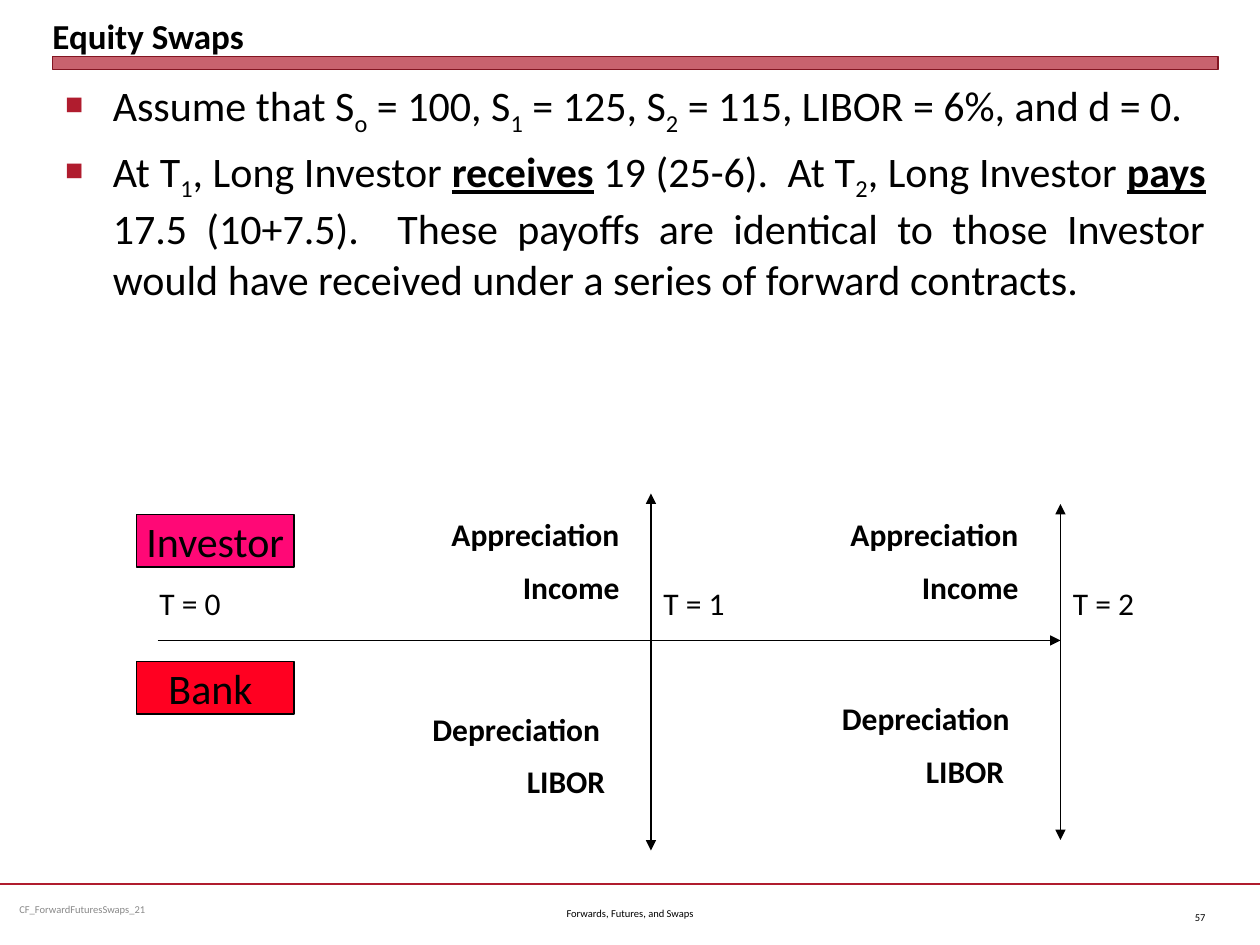
from lxml.etree import SubElement
from pptx import Presentation
from pptx.dml.color import RGBColor
from pptx.enum.shapes import MSO_CONNECTOR, MSO_SHAPE
from pptx.enum.text import MSO_ANCHOR as Anchor, PP_ALIGN as Align
from pptx.oxml.ns import qn
from pptx.util import Inches, Pt

BLACK = RGBColor(0x00, 0x00, 0x00)
GREY = RGBColor(0x89, 0x89, 0x89)
CRIMSON = RGBColor(0xB0, 0x1C, 0x2E)
DARK_CRIMSON = RGBColor(0x82, 0x15, 0x22)
RED = RGBColor(0xFF, 0x00, 0x21)
PINK = RGBColor(0xFF, 0x08, 0x76)

COLUMNS, ROWS = 120, 90
CELL = Inches(10) // COLUMNS
MARGIN, CONTENT_WIDTH = 5, 111
LABEL_HEIGHT = 4.8
DEFAULT_INSETS = (0.1, 0.05, 0.1, 0.05)
NO_INSETS = (0, 0, 0, 0)

SUB, STRONG = "subscript", "strong"
BULLETS = [
    [("Assume that S", None), ("o", SUB), (" = 100, S", None), ("1", SUB),
     (" = 125, S", None), ("2", SUB),
     (" = 115, LIBOR = 6%, and d = 0.", None)],
    [("At T", None), ("1", SUB), (", Long Investor ", None),
     ("receives", STRONG), (" 19 (25-6).  At T", None), ("2", SUB),
     (", Long Investor ", None), ("pays", STRONG),
     (" 17.5 (10+7.5).  These payoffs are identical to those Investor would "
      "have received under a series of forward contracts.", None)],
]
PARTIES = [("Investor", 49, PINK), ("Bank ", 63, RED)]
GAINS = ["Appreciation", "Income"]
AXIS_START, AXIS_ROW = 15, 61
PERIODS = [
    {"column": 62, "top": 47, "bottom": 81, "gains": 40,
     "losses": [("Depreciation", 40, 67, 23), ("LIBOR", 49, 72, 13)]},
    {"column": 101, "top": 48, "bottom": 80, "gains": 78,
     "losses": [("Depreciation", 79, 66, 24), ("LIBOR", 87, 71, 13)]},
]
TIMES = [("T = 0", 14)] + [
    (f"T = {number}", period["column"])
    for number, period in enumerate(PERIODS, 1)]


def grid(*cells):
    return [round(cell * CELL) for cell in cells]


def add_bullet(paragraph):
    props = paragraph._p.get_or_add_pPr()
    props.set("marL", str(Inches(0.38)))
    props.set("indent", str(-Inches(0.38)))
    tint = SubElement(props, qn("a:buClr"))
    SubElement(tint, qn("a:srgbClr")).set("val", str(CRIMSON))
    SubElement(props, qn("a:buSzPct")).set("val", "60000")
    SubElement(props, qn("a:buChar")).set("char", "■")


def write(holder, paragraphs, size=18, color=BLACK, bold=False, align=Align.LEFT,
          anchor=Anchor.TOP, insets=DEFAULT_INSETS, gap=0, bullet=False, wrap=True):
    frame = holder.text_frame
    frame.word_wrap = wrap
    frame.vertical_anchor = anchor
    (frame.margin_left, frame.margin_top,
     frame.margin_right, frame.margin_bottom) = map(Inches, insets)
    for index, content in enumerate(paragraphs):
        paragraph = frame.add_paragraph() if index else frame.paragraphs[0]
        if bullet:
            add_bullet(paragraph)
        paragraph.alignment = align
        if index:
            paragraph.space_before = Pt(gap)
        pieces = [(content, None)] if isinstance(content, str) else content
        for words, style in pieces:
            run = paragraph.add_run()
            run.text = words
            font = run.font
            font.name, font.size = "Calibri", Pt(size)
            font.color.rgb = color
            font.bold = bold or style == STRONG
            if style == STRONG:
                font.underline = True
            if style == SUB:
                font._element.set("baseline", "-25000")


def add_label(slide, place, paragraphs, **style):
    write(slide.shapes.add_textbox(*grid(*place)), paragraphs, **style)


def add_box(slide, place, fill, line, weight):
    box = slide.shapes.add_shape(MSO_SHAPE.RECTANGLE, *grid(*place))
    box.shadow.inherit = False
    box.fill.solid()
    box.fill.fore_color.rgb = fill
    box.line.color.rgb = line
    box.line.width = Pt(weight)
    return box


def add_line(slide, ends, color=BLACK, weight=0.75, arrow=True):
    line = slide.shapes.add_connector(MSO_CONNECTOR.STRAIGHT, *grid(*ends))
    line.line.color.rgb = color
    line.line.width = Pt(weight)
    if arrow:
        SubElement(line.line._get_or_add_ln(), qn("a:tailEnd")).set("type", "triangle")
    SubElement(line._element.spPr, qn("a:effectLst"))


def add_frame(slide):
    add_line(slide, (0, 84.2, COLUMNS, 84.2), CRIMSON, 1.25, arrow=False)
    rule = add_box(slide, (MARGIN, 5.4, CONTENT_WIDTH, 1.2), CRIMSON, DARK_CRIMSON, 0)
    tint = rule._element.spPr.find(qn("a:solidFill"))[0]
    SubElement(tint, qn("a:alpha")).set("val", "69000")
    add_label(slide, (1, 84.2, 31, LABEL_HEIGHT), ["CF_ForwardFuturesSwaps_21"],
              size=6, color=GREY, anchor=Anchor.MIDDLE, insets=(0.07, 0.04, 0.07, 0.04))
    add_label(slide, (41, 84.6, 38, LABEL_HEIGHT), ["Forwards, Futures, and Swaps"],
              size=6, align=Align.CENTER, anchor=Anchor.MIDDLE)
    add_label(slide, (110, 85, 6, LABEL_HEIGHT), ["57"],
              size=6, align=Align.RIGHT, anchor=Anchor.MIDDLE)


def add_timeline(slide):
    add_line(slide, (AXIS_START, AXIS_ROW, PERIODS[-1]["column"], AXIS_ROW))
    for time, column in TIMES:
        add_label(slide, (column, 55, 11, LABEL_HEIGHT), [time])
    for period in PERIODS:
        column = period["column"]
        for end in (period["top"], period["bottom"]):
            add_line(slide, (column, AXIS_ROW, column, end))
        add_label(slide, (period["gains"], 49, 19, 9), GAINS, bold=True,
                  align=Align.RIGHT, insets=NO_INSETS, gap=9)
        for loss, left, top, width in period["losses"]:
            add_label(slide, (left, top, width, LABEL_HEIGHT), [loss], bold=True)
    for party, top, fill in PARTIES:
        box = add_box(slide, (13, top, 15, 5), fill, BLACK, 0.75)
        write(box, [party], size=24, align=Align.CENTER, anchor=Anchor.MIDDLE, wrap=False)


def main():
    deck = Presentation()
    deck.slide_width, deck.slide_height = grid(COLUMNS, ROWS)
    slide = deck.slides.add_slide(deck.slide_layouts[6])
    add_frame(slide)
    add_label(slide, (MARGIN, 0.6, CONTENT_WIDTH, LABEL_HEIGHT), ["Equity Swaps"],
              size=20, bold=True, anchor=Anchor.BOTTOM, insets=NO_INSETS)
    add_label(slide, (MARGIN, 7, CONTENT_WIDTH, 76.3), BULLETS,
              size=24, align=Align.JUSTIFY, gap=4.8, bullet=True)
    add_timeline(slide)
    deck.save("out.pptx")


if __name__ == "__main__":
    main()
